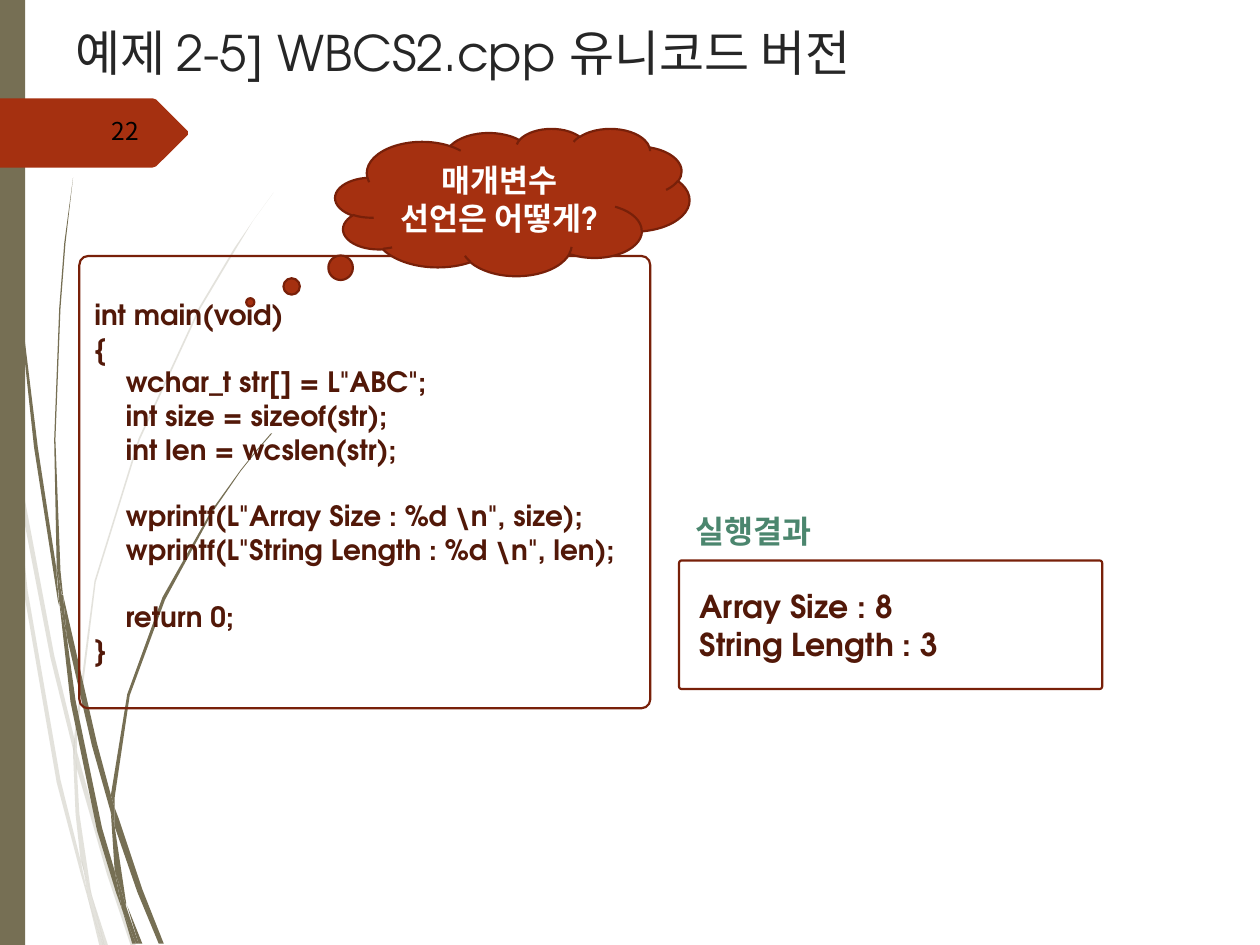
from lxml import etree
from pptx import Presentation
from pptx.dml.color import RGBColor
from pptx.enum.shapes import MSO_SHAPE
from pptx.enum.text import MSO_ANCHOR, PP_ALIGN
from pptx.oxml.ns import qn
from pptx.util import Cm, Pt

LEFT, CENTER, RIGHT = PP_ALIGN.LEFT, PP_ALIGN.CENTER, PP_ALIGN.RIGHT
TOP, MIDDLE = MSO_ANCHOR.TOP, MSO_ANCHOR.MIDDLE
RECT, ROUNDED = MSO_SHAPE.RECTANGLE, MSO_SHAPE.ROUNDED_RECTANGLE
CLOUD = MSO_SHAPE.CLOUD_CALLOUT

LATIN, KOREAN = "TeX Gyre Adventor", "Noto Sans CJK KR"
OLIVE, RUST, RUST_LINE, BROWN = "766F54", "A53010", "782009", "521808"
GREEN, INK, BLACK, WHITE = "4B866E", "262626", "000000", "FFFFFF"

# Content
TITLE = "예제 2-5] WBCS2.cpp 유니코드 버전"
PAGE_NUMBER = "22"
CODE_BLOCKS = [
    ["int main(void)", "{", '    wchar_t str[] = L"ABC";',
     "    int size = sizeof(str);", "    int len = wcslen(str);"],
    [r'    wprintf(L"Array Size : %d \n", size);',
     r'    wprintf(L"String Length : %d \n", len);'],
    ["    return 0;", "}"],
]
RESULT_LABEL = "실행결과"
RESULT = ["Array Size : 8", "String Length : 3"]
QUESTION = "매개변수 선언은 어떻게?"

# Grass outlines and page tag, in units of UNIT
UNIT = Cm(0.0254)
PALE_GRASS = [
    [(8, 350), (6, 322), (0, 282), (0, 299), (7, 344)],
    [(40, 522), (59, 599), (59, 586), (43, 520), (10, 345), (12, 376)],
    [(64, 607), (61, 596), (61, 610), (85, 694), (104, 751), (108, 751),
     (88, 692)],
    [(83, 751), (86, 751), (73, 711)],
    [(64, 683), (48, 619), (22, 469), (12, 376), (8, 350), (19, 470),
     (45, 621), (64, 693), (70, 714), (69, 707)],
    [(58, 599), (60, 646), (64, 683), (67, 692), (73, 711), (72, 706),
     (63, 646), (61, 610), (61, 608)],
    [(61, 584), (76, 462), (111, 349), (159, 245), (187, 198), (201, 175),
     (217, 153), (201, 175), (186, 197), (158, 244), (110, 348), (75, 461),
     (59, 584), (59, 586), (61, 596)],
    [(70, 714), (79, 751), (82, 751)],
    [(61, 608), (61, 610), (61, 596), (59, 586), (58, 599)],
    [(67, 692), (65, 683), (69, 707), (70, 714), (82, 751), (83, 751),
     (73, 711)],
]
DARK_GRASS = [
    [(5, 110), (14, 233), (27, 355), (46, 477), (47, 481), (45, 457),
     (45, 453), (30, 355), (15, 232), (6, 109), (4, 48), (3, 0), (2, 0),
     (3, 48)],
    [(73, 592), (88, 645), (88, 633), (88, 631), (77, 590), (50, 472),
     (53, 505)],
    [(94, 649), (91, 641), (91, 656), (109, 708), (126, 749), (130, 749),
     (113, 706)],
    [(91, 691), (81, 657), (60, 556), (53, 505), (47, 477), (56, 557),
     (77, 659), (92, 708), (97, 722), (96, 717)],
    [(50, 472), (48, 453), (44, 349), (48, 245), (52, 193), (58, 141),
     (51, 193), (47, 245), (43, 349), (45, 449), (49, 471)],
    [(110, 749), (113, 749), (101, 719)],
    [(47, 477), (53, 505), (50, 472), (49, 472), (45, 449), (45, 453)],
    [(91, 633), (103, 552), (131, 476), (169, 406), (191, 374), (203, 359),
     (216, 344), (215, 344), (203, 358), (191, 373), (168, 405), (129, 474),
     (101, 551), (88, 631), (91, 641)],
    [(97, 722), (105, 749), (108, 749)],
    [(88, 645), (91, 691), (96, 706), (100, 719), (100, 716), (91, 656),
     (90, 651)],
    [(88, 645), (90, 651), (91, 656), (91, 641), (88, 631), (88, 633)],
    [(96, 706), (91, 691), (96, 717), (97, 722), (108, 749), (110, 749),
     (100, 719)],
]
PAGE_TAG = [(149, 107), (124, 132), (121, 133), (0, 133), (0, 78), (121, 78),
            (124, 79), (149, 104)]


def color(hex_string):
    return RGBColor.from_string(hex_string)


def paint(shape, fill=None, line=None, opacity=None):
    shape.shadow.inherit = False
    if fill:
        shape.fill.solid()
        shape.fill.fore_color.rgb = color(fill)
    else:
        shape.fill.background()
    if opacity:
        tint = shape._element.spPr.find(qn("a:solidFill"))[0]
        etree.SubElement(tint, qn("a:alpha"), val=str(opacity * 1000))
    if line:
        shape.line.color.rgb = color(line)
        shape.line.width = Pt(1.25)
    else:
        shape.line.fill.background()


def add_outline(shapes, points, fill, opacity=None):
    builder = shapes.build_freeform(*points[0], scale=UNIT)
    builder.add_line_segments(points[1:], close=True)
    paint(builder.convert_to_shape(), fill, opacity=opacity)


def add_panel(kind, place, fill=None, line=None, adjustments=()):
    panel = slide.shapes.add_shape(kind, *map(Cm, place))
    for index, value in enumerate(adjustments):
        panel.adjustments[index] = value
    paint(panel, fill, line)
    return panel


def add_label(place):
    return slide.shapes.add_textbox(*map(Cm, place))


def write(shape, blocks, size, ink, font=LATIN, bold=False, align=LEFT,
          anchor=MIDDLE, inset=0.25, spacing=None, block_gap=0):
    """Write blocks of lines; block_gap separates one block from the next."""
    frame = shape.text_frame
    frame.word_wrap = True
    frame.vertical_anchor = anchor
    frame.margin_left = Cm(inset)
    lines = [(text, bool(b and not i)) for b, block in enumerate(blocks)
             for i, text in enumerate(block)]
    for number, (text, opens_block) in enumerate(lines):
        paragraph = frame.add_paragraph() if number else frame.paragraphs[0]
        paragraph.alignment = align
        if spacing:
            paragraph.line_spacing = spacing
        if opens_block:
            paragraph.space_before = Pt(block_gap)
        run = paragraph.add_run()
        run.text = text
        run.font.name = font
        run.font.size = Pt(size)
        run.font.bold = bold
        run.font.color.rgb = color(ink)
        east_asian = etree.SubElement(run.font._element, qn("a:ea"))
        east_asian.set("typeface", KOREAN)


presentation = Presentation()
presentation.slide_width, presentation.slide_height = Cm(25.4), Cm(19.05)
slide = presentation.slides.add_slide(presentation.slide_layouts[6])

# Grass, side bar and page tag
for blades, opacity in ((PALE_GRASS, 20), (DARK_GRASS, None)):
    grass = slide.shapes.add_group_shape()
    for blade in blades:
        add_outline(grass.shapes, blade, OLIVE, opacity)
add_panel(RECT, (0, 0, 0.51, 19.05), fill=OLIVE)
add_outline(slide.shapes, PAGE_TAG, RUST)

# Title and page number
write(add_label((1.27, 0.33, 20.96, 1.85)), [[TITLE]], 28, INK, anchor=TOP)
write(add_label((1.42, 2.18, 1.63, 1.02)), [[PAGE_NUMBER]], 14, BLACK,
      font=KOREAN, align=RIGHT, spacing=0.8)

# Code and its result
code = add_panel(ROUNDED, (1.6, 5.16, 11.51, 9.12), line=RUST_LINE,
                 adjustments=[0.02])
write(code, CODE_BLOCKS, 16, BROWN, bold=True, block_gap=19)
result = add_panel(ROUNDED, (13.69, 11.3, 8.53, 2.59), line=RUST_LINE,
                   adjustments=[0.02])
write(result, [RESULT], 18, BROWN, bold=True, inset=0.4)
write(add_label((12.9, 10.11, 4.57, 1.19)), [[RESULT_LABEL]], 18, GREEN,
      bold=True, align=CENTER)

# Question cloud
cloud = add_panel(CLOUD, (6.76, 2.59, 7.14, 2.97), fill=RUST, line=RUST_LINE,
                  adjustments=[-0.74, 0.68])
write(cloud, [[QUESTION]], 18, WHITE, bold=True, align=CENTER)

presentation.save("out.pptx")
